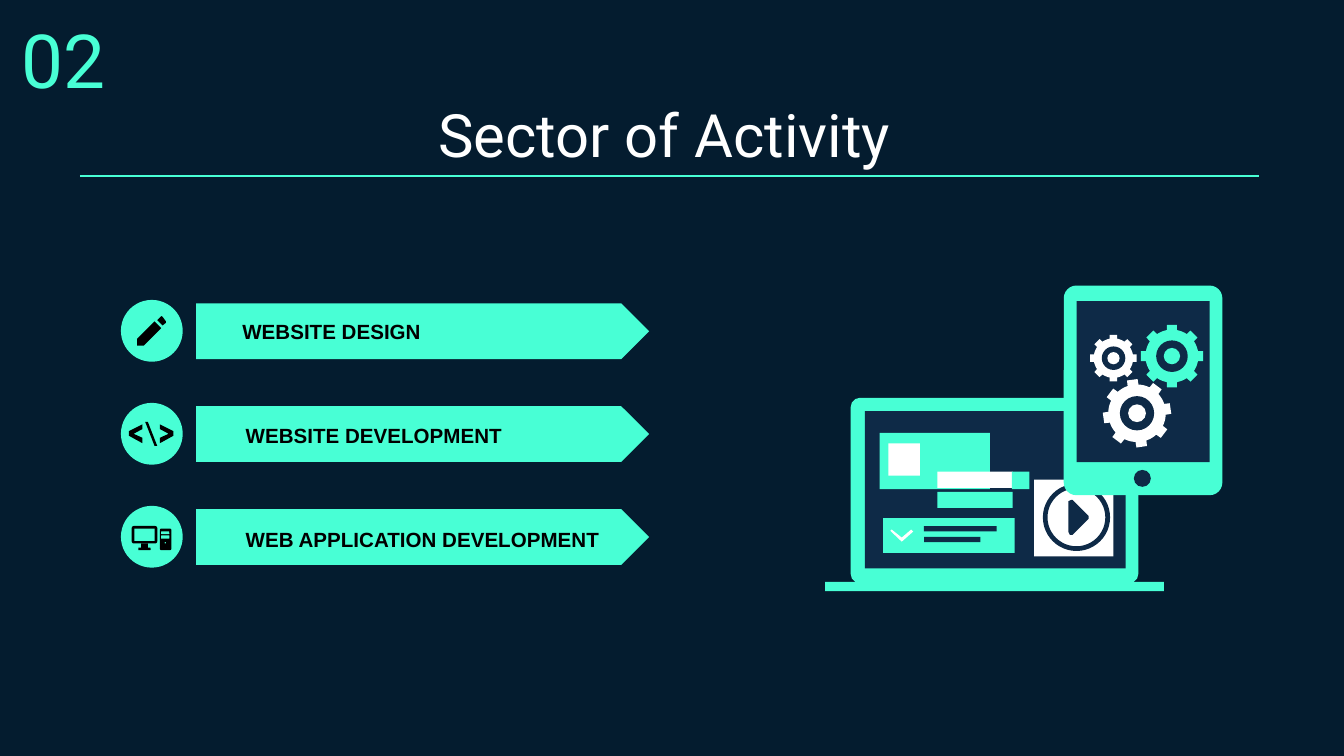
from dataclasses import dataclass
from math import cos, radians, sin

from pptx import Presentation
from pptx.dml.color import RGBColor
from pptx.enum.shapes import MSO_CONNECTOR, MSO_SHAPE
from pptx.enum.text import MSO_ANCHOR, PP_ALIGN
from pptx.oxml import parse_xml
from pptx.oxml.ns import nsdecls
from pptx.util import Inches, Pt


@dataclass(frozen=True)
class Theme:
    night: str = "041C2F"
    navy: str = "0E2A47"
    mint: str = "48FFD5"
    white: str = "FFFFFF"
    black: str = "000000"
    head_font: str = "Roboto"
    body_font: str = "Arial"
    number_size: int = 40
    title_size: int = 32
    label_size: int = 11


T = Theme()
RECT, ROUND, OVAL = MSO_SHAPE.RECTANGLE, MSO_SHAPE.ROUNDED_RECTANGLE, MSO_SHAPE.OVAL
ROW_TOP, ROW_PITCH, LABEL_PITCH = 22.32, 7.66, 7.72
DISC_LEFT, DISC_SIZE = 9, 4.6


def grid(n):
    """Length of n grid units; the slide is 100 columns wide."""
    return Inches(n / 10)


def paint(sp, color):
    sp.shadow.inherit = False
    sp.fill.solid()
    sp.fill.fore_color.rgb = RGBColor.from_string(color)
    sp.line.fill.background()
    return sp


def add_block(shapes, kind, x, y, w, h, color, adj=None):
    sp = shapes.add_shape(kind, grid(x), grid(y), grid(w), grid(h))
    if adj is not None:
        sp.adjustments[0] = adj
    return paint(sp, color)


def add_outline(shapes, contours, color, x=0, y=0):
    """Closed polygons, placed relative to (x, y)."""
    first, *others = [[(grid(x + px), grid(y + py)) for px, py in c] for c in contours]
    fb = shapes.build_freeform(*first[0])
    fb.add_line_segments(first[1:], close=True)
    for points in others:
        fb.move_to(*points[0])
        fb.add_line_segments(points[1:], close=True)
    return paint(fb.convert_to_shape(), color)


def add_text(shapes, text, x, y, w, h, font, size, color, bold=False,
             align=PP_ALIGN.LEFT, anchor=MSO_ANCHOR.TOP, inset=None, wrap=True):
    tf = shapes.add_textbox(grid(x), grid(y), grid(w), grid(h)).text_frame
    tf.word_wrap = wrap
    tf.vertical_anchor = anchor
    if inset is not None:
        tf.margin_left = tf.margin_right = grid(inset)
        tf.margin_top = tf.margin_bottom = grid(inset)
    p = tf.paragraphs[0]
    p.text = text
    p.alignment = align
    p.font.name, p.font.size, p.font.bold = font, Pt(size), bold
    p.font.color.rgb = RGBColor.from_string(color)


def add_rule(shapes, x1, x2, y):
    line = shapes.add_connector(MSO_CONNECTOR.STRAIGHT, grid(x1), grid(y), grid(x2), grid(y))
    line.line.color.rgb = RGBColor.from_string(T.mint)
    line.line.width = Pt(0.75)
    line._element.spPr.append(parse_xml(f"<a:effectLst {nsdecls('a')}/>"))


def add_circle(shapes, cx, cy, radius, color):
    add_block(shapes, OVAL, cx - radius, cy - radius, 2 * radius, 2 * radius, color)


def add_gear(shapes, cx, cy, radius, color, tilt=0):
    """Eight teeth on a round body, with a dark ring and a hub."""
    profile = [(-9, 1), (9, 1)] + [(a, 0.84) for a in (11, 17, 22.5, 28, 34)]
    points = []
    for tooth in range(8):
        for angle, share in profile:
            a = radians(45 * tooth + angle + tilt)
            points.append((radius * share * cos(a), radius * share * sin(a)))
    add_outline(shapes, [points], color, cx, cy)
    add_circle(shapes, cx, cy, radius * 0.5, T.navy)
    add_circle(shapes, cx, cy, radius * 0.26, color)


# Icons, placed relative to the corner of their disc
def add_pencil(shapes, x, y):
    tip = [(3, 1.2), (2.7, 1.5), (3.1, 1.9), (3.35, 1.7), (3.35, 1.6), (3.1, 1.25)]
    shaft = [(2.5, 1.6), (1.2, 2.9), (1.2, 3.4), (1.7, 3.4), (3, 2.1)]
    add_outline(shapes, [tip, shaft], T.black, x, y)


def add_code_mark(shapes, x, y):
    left = [(1.6, 3), (0.6, 2.45), (0.6, 2.1), (1.6, 1.6), (1.6, 1.95), (0.95, 2.3), (1.6, 2.6)]
    right = [(DISC_SIZE - 0.1 - px, py) for px, py in left]
    slash = [(2.5, 3.2), (1.8, 1.4), (2, 1.4), (2.7, 3.2)]
    for stroke in (left, slash, right):
        add_outline(shapes, [stroke], T.black, x, y)


def add_computer(shapes, x, y):
    for kind, dx, dy, w, h, color in (
        (ROUND, 0.8, 1.5, 1.9, 1.3, T.black),     # monitor
        (RECT, 1, 1.7, 1.5, 0.9, T.mint),
        (RECT, 1.5, 2.8, 0.5, 0.4, T.black),
        (ROUND, 1.3, 3.1, 0.9, 0.2, T.black),
        (ROUND, 2.9, 1.7, 0.85, 1.6, T.black),    # tower
        (ROUND, 3, 1.9, 0.6, 0.2, T.mint),
        (ROUND, 3, 2.2, 0.6, 0.25, T.mint),
        (OVAL, 3.25, 2.7, 0.1, 0.1, T.mint),
    ):
        add_block(shapes, kind, x + dx, y + dy, w, h, color, 0.12 if kind == ROUND else None)


def add_sector(s, row, label, label_left, label_width, add_icon):
    shapes = s.shapes.add_group_shape().shapes
    y = ROW_TOP + row * ROW_PITCH
    add_block(shapes, OVAL, DISC_LEFT, y, DISC_SIZE, DISC_SIZE, T.mint)
    add_icon(shapes, DISC_LEFT, y)
    add_block(shapes, MSO_SHAPE.PENTAGON, 14.6, y + 0.25, 33.7, 4.15, T.mint, 0.5)
    add_text(shapes, label, label_left, 23.25 + row * LABEL_PITCH, label_width, 2.9,
             T.body_font, T.label_size, T.black, bold=True, wrap=False)


def add_devices(s):
    shapes = s.shapes.add_group_shape().shapes
    # Laptop and the page on its screen
    add_block(shapes, ROUND, 63.3, 29.6, 21.4, 13.8, T.mint, 0.05)
    for x, y, w, h, color in (
        (64.35, 30.6, 19.4, 11.7, T.navy),
        (61.4, 43.3, 25.2, 0.7, T.mint),
        (65.45, 32.2, 8.2, 4.2, T.mint),
        (66.1, 33, 2.35, 2.4, T.white),
        (65.7, 38.55, 9.8, 2.6, T.mint),
        (68.75, 39.15, 5.4, 0.4, T.navy),
        (68.75, 39.95, 4.2, 0.4, T.navy),
        (69.75, 36.6, 5.6, 1.2, T.mint),
        (69.75, 35.1, 5.6, 1.2, T.white),
        (75.3, 35.1, 1.3, 1.3, T.mint),
        (76.95, 35.7, 5.9, 5.7, T.white),
    ):
        add_block(shapes, RECT, x, y, w, h, color)
    tick = [(66.35, 39.4), (67.1, 40), (67.8, 39.4), (67.95, 39.55), (67.1, 40.3), (66.25, 39.5)]
    add_outline(shapes, [tick], T.white)
    # Play button
    add_block(shapes, MSO_SHAPE.DONUT, 77.6, 36, 5, 5, T.navy, 0.07)
    play = [(79.5, 37.3), (79.7, 37.2), (79.8, 37.2), (81, 38.4), (81, 38.6),
            (79.8, 39.8), (79.6, 39.8), (79.5, 39.6)]
    add_outline(shapes, [play], T.navy)
    # Tablet with gears
    add_block(shapes, ROUND, 79.15, 21.25, 11.8, 15.6, T.mint, 0.08)
    add_block(shapes, RECT, 80.1, 22.4, 9.9, 12, T.navy)
    add_circle(shapes, 85, 35.6, 0.63, T.navy)
    add_gear(shapes, 87.2, 26.5, 2.35, T.mint)
    add_gear(shapes, 82.85, 26.65, 1.75, T.white)
    add_gear(shapes, 84.6, 30.75, 2.55, T.white, tilt=-8)


def main():
    prs = Presentation()
    prs.slide_width, prs.slide_height = grid(100), grid(56.25)
    s = prs.slides.add_slide(prs.slide_layouts[6])
    s.background.fill.solid()
    s.background.fill.fore_color.rgb = RGBColor.from_string(T.night)

    # Illustration and sectors
    add_rule(s.shapes, 5.95, 93.7, 13.1)
    add_devices(s)
    add_text(s.shapes, "02", 0.6, 2.1, 12.9, 6.6, T.head_font, T.number_size, T.mint,
             anchor=MSO_ANCHOR.BOTTOM, inset=1)
    for row, sector in enumerate((
        ("WEBSITE DESIGN", 17.05, 15.3, add_pencil),
        ("WEBSITE DEVELOPMENT", 17.3, 21.1, add_code_mark),
        ("WEB APPLICATION DEVELOPMENT", 17.3, 28.7, add_computer),
    )):
        add_sector(s, row, *sector)

    # Title
    add_text(s.shapes, "Sector of Activity", 2.85, 7.05, 93.2, 6.6, T.head_font, T.title_size,
             T.white, align=PP_ALIGN.CENTER, anchor=MSO_ANCHOR.BOTTOM, inset=1)
    prs.save("out.pptx")


if __name__ == "__main__":
    main()
